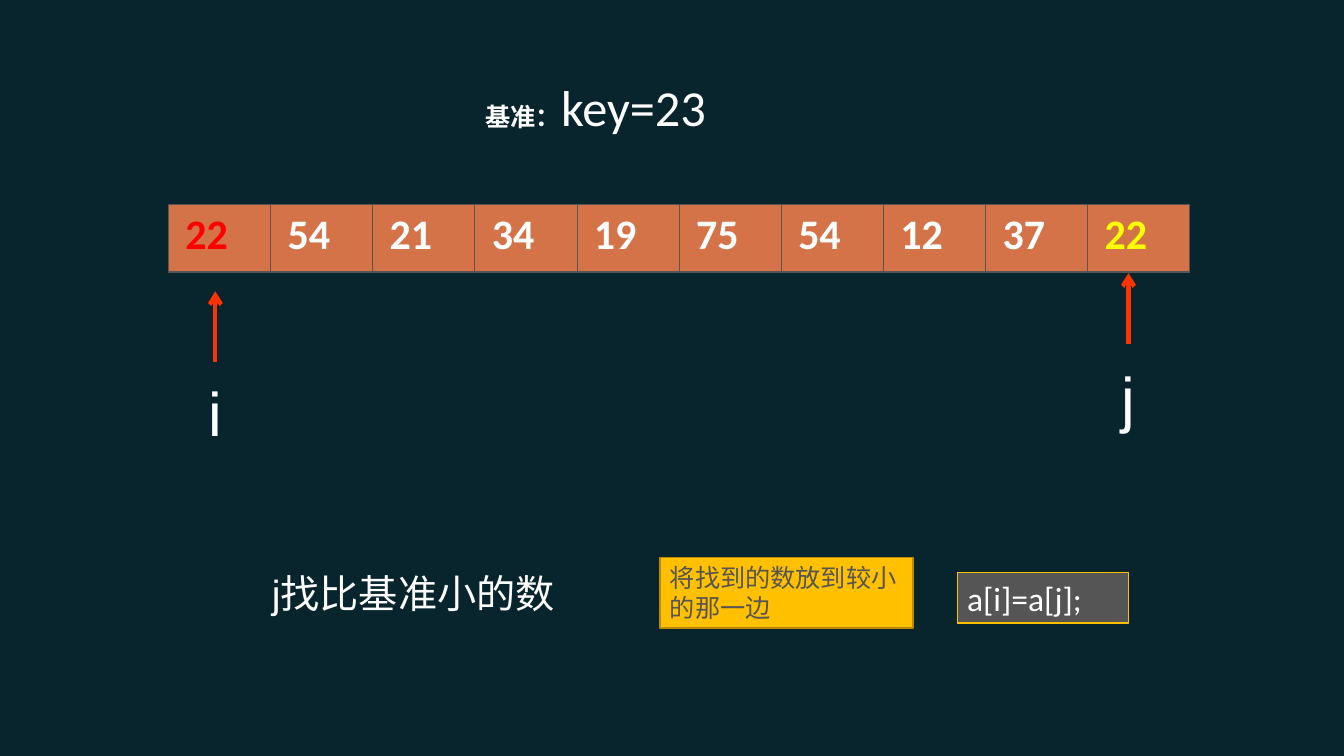
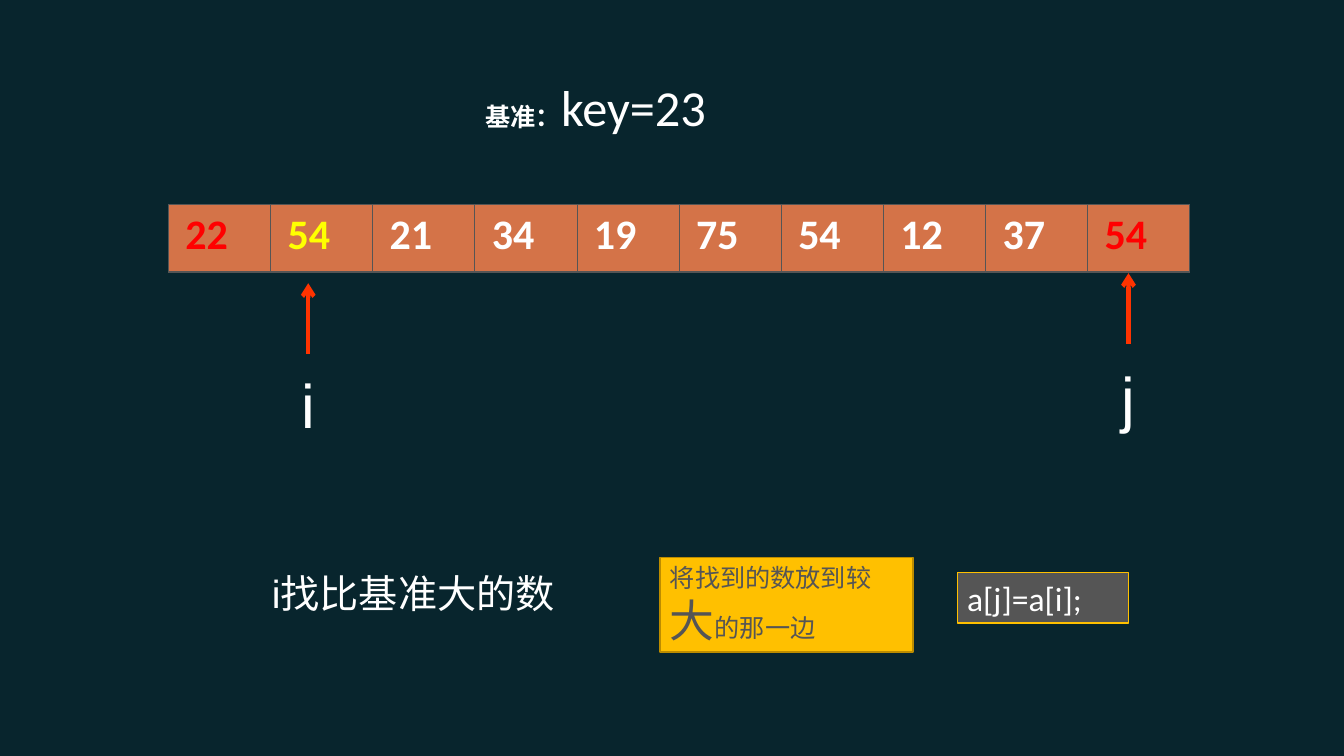
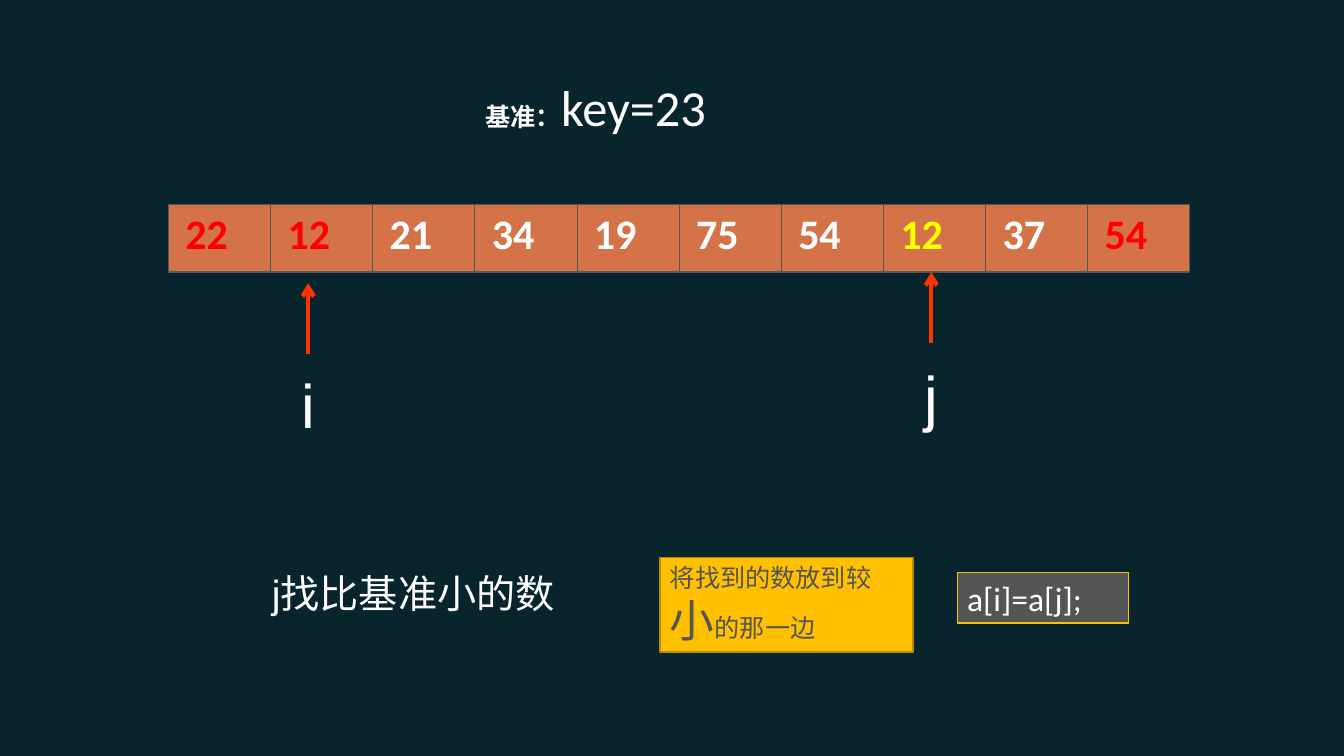
import collections
import pptx
import pptx.dml.color
import pptx.enum.shapes
import pptx.enum.text
import pptx.oxml
import pptx.oxml.ns
import pptx.util

COLORS = {
    "background": "08252D", "cell": "D47348", "grey": "555555", "white": "FFFFFF",
    "done": "FF0000", "current": "FFFF00", "arrow": "FF3300",
    "amber": "FFC000", "amber_edge": "BC8C00",
}
SLIDE_WIDTH, SLIDE_HEIGHT = pptx.util.Inches(13.34), pptx.util.Inches(7.5)
COLUMN, ROW = SLIDE_WIDTH / 40, SLIDE_HEIGHT / 30
CJK_FONT = "Noto Sans CJK SC"

Box = collections.namedtuple("Box", "left top width height")
TITLE = Box(14.15, 2.8, 10.94, 2.8)
ARRAY = Box(5.01, 8.12, 30.4, 2.68)
HINT = Box(7.8, 22.4, 9.84, 2.28)
NOTE = Box(19.64, 22.12, 7.53, 2.8)
TALL_NOTE = NOTE._replace(height=3.76)
CODE = Box(28.49, 22.72, 5.1, 2)
ARROW_LENGTH = 2.8

STYLES = {
    "title": {"size": 36, "name": "Calibri", "bold": False, "color": "white"},
    "title_label": {"size": 18, "name": CJK_FONT, "bold": True, "color": "white"},
    "cell": {"size": 30, "name": "Calibri", "bold": True, "color": "white"},
    "pointer": {"size": 44, "name": "Arial", "color": "white"},
    "hint": {"size": 28, "name": "Arial", "color": "white"},
    "note": {"size": 18, "name": "Calibri", "color": "grey"},
    "note_large": {"size": 32, "name": "Calibri", "color": "grey"},
    "code": {"size": 24, "name": "Calibri", "color": "white"},
}
BORDERS = {"lnL": 0.45, "lnR": 0.45, "lnT": 0.45, "lnB": 1.47}

Pointer = collections.namedtuple("Pointer", "name column gap label_gap")
I_START = Pointer("i", 0.46, 0.76, 0.32)
I_SECOND = Pointer("i", 1.37, 0.44, 0.32)
J_END = Pointer("j", 9.4, 0.04, 0.44)
J_EIGHTH = Pointer("j", 7.47, 0, 0.44)

STEPS = [
    {
        "values": [22, 54, 21, 34, 19, 75, 54, 12, 37, 22],
        "marks": {0: "done", 9: "current"},
        "pointers": [I_START, J_END],
        "hint": "j找比基准小的数",
        "note": [("将找到的数放到较小的那一边", "note")],
        "note_box": NOTE,
        "code": "a[i]=a[j];",
    },
    {
        "values": [22, 54, 21, 34, 19, 75, 54, 12, 37, 54],
        "marks": {0: "done", 1: "current", 9: "done"},
        "pointers": [I_SECOND, J_END],
        "hint": "i找比基准大的数",
        "note": [("将找到的数放到较", "note"), ("大", "note_large"), ("的那一边", "note")],
        "note_box": TALL_NOTE,
        "code": "a[j]=a[i];",
    },
    {
        "values": [22, 12, 21, 34, 19, 75, 54, 12, 37, 54],
        "marks": {0: "done", 1: "done", 7: "current", 9: "done"},
        "pointers": [I_SECOND, J_EIGHTH],
        "hint": "j找比基准小的数",
        "note": [("将找到的数放到较", "note"), ("小", "note_large"), ("的那一边", "note")],
        "note_box": TALL_NOTE,
        "code": "a[i]=a[j];",
    },
]


def rgb(name):
    """Return the named palette colour."""
    return pptx.dml.color.RGBColor.from_string(COLORS[name])


def place(box):
    """Convert a box on the slide grid to lengths."""
    return (round(box.left * COLUMN), round(box.top * ROW),
            round(box.width * COLUMN), round(box.height * ROW))


def write(frame, runs, align="LEFT", anchor="TOP", wrap=True):
    """Fill a text frame with one paragraph of styled runs."""
    settings = {
        "word_wrap": wrap,
        "auto_size": pptx.enum.text.MSO_AUTO_SIZE.NONE,
        "vertical_anchor": pptx.enum.text.MSO_ANCHOR[anchor],
    }
    for attribute, value in settings.items():
        setattr(frame, attribute, value)
    write_runs(frame.paragraphs[0], runs, align)


def write_runs(paragraph, runs, align="LEFT", color=None):
    """Add styled runs to a paragraph."""
    paragraph.alignment = pptx.enum.text.PP_ALIGN[align]
    for text, style_name in runs:
        style = dict(STYLES[style_name])
        run = paragraph.add_run()
        run.text = text
        run.font.color.rgb = rgb(color or style["color"])
        del style["color"]
        style["size"] = pptx.util.Pt(style["size"])
        for attribute, value in style.items():
            setattr(run.font, attribute, value)
        east_asian = pptx.oxml.parse_xml(
            f'<a:ea {pptx.oxml.ns.nsdecls("a")} typeface="{CJK_FONT}"/>')
        run.font._element.find(pptx.oxml.ns.qn("a:latin")).addnext(east_asian)


def add_text(slide, box, runs, **options):
    """Add a plain text box."""
    shape = slide.shapes.add_textbox(*place(box))
    write(shape.text_frame, runs, **options)


def add_panel(slide, box, runs, fill, line):
    """Add a filled rectangle with text."""
    shape = slide.shapes.add_shape(pptx.enum.shapes.MSO_SHAPE.RECTANGLE, *place(box))
    shape.shadow.inherit = False
    shape.fill.solid()
    shape.fill.fore_color.rgb = rgb(fill)
    shape.line.color.rgb = rgb(line)
    shape.line.width = pptx.util.Pt(1)
    write(shape.text_frame, runs, anchor="MIDDLE")


def add_title(slide, box):
    """Place the pivot key in the title placeholder."""
    title = slide.shapes.title
    title.left, title.top, title.width, title.height = place(box)
    write(title.text_frame, [("基准：", "title_label"), ("key=23", "title")])


def format_cell(cell):
    """Set the borders, fill and margins of an array cell."""
    properties = cell._tc.get_or_add_tcPr()
    for side, points in BORDERS.items():
        properties.append(pptx.oxml.parse_xml(
            f'<a:{side} {pptx.oxml.ns.nsdecls("a")} w="{pptx.util.Pt(points)}">'
            f'<a:solidFill><a:srgbClr val="{COLORS["grey"]}"/></a:solidFill></a:{side}>'))
    cell.fill.solid()
    cell.fill.fore_color.rgb = rgb("cell")
    cell.margin_left = cell.margin_right = pptx.util.Inches(0.17)


def add_array(slide, box, values, marks):
    """Draw the array as a one-row table with marked values."""
    table = slide.shapes.add_table(1, len(values), *place(box)).table
    table.first_row = table.horz_banding = False
    for index, value in enumerate(values):
        cell = table.cell(0, index)
        format_cell(cell)
        write_runs(cell.text_frame.paragraphs[0], [(str(value), "cell")],
                   color=marks.get(index))


def add_pointer(slide, array, count, pointer):
    """Draw an index arrow and its letter below the array."""
    center = array.left + pointer.column * array.width / count
    tip = array.top + array.height + pointer.gap
    base = tip + ARROW_LENGTH
    x = round(center * COLUMN)
    arrow = slide.shapes.add_connector(
        pptx.enum.shapes.MSO_CONNECTOR.STRAIGHT, x, round(base * ROW), x, round(tip * ROW))
    arrow.line.color.rgb = rgb("arrow")
    arrow.line.width = pptx.util.Pt(3)
    namespace = pptx.oxml.ns.nsdecls("a")
    arrow.line._get_or_add_ln().append(
        pptx.oxml.parse_xml(f'<a:tailEnd {namespace} type="arrow"/>'))
    arrow._element.spPr.append(pptx.oxml.parse_xml(f'<a:effectLst {namespace}/>'))
    label = Box(center - 0.47, base + pointer.label_gap, 0.94, 3.36)
    add_text(slide, label, [(pointer.name, "pointer")], align="CENTER", wrap=False)


def add_step(presentation, step):
    """Build the slide for one step of the partition."""
    slide = presentation.slides.add_slide(
        presentation.slide_layouts.get_by_name("Title Only"))
    add_title(slide, TITLE)
    add_array(slide, ARRAY, step["values"], step["marks"])
    for pointer in step["pointers"]:
        add_pointer(slide, ARRAY, len(step["values"]), pointer)
    add_text(slide, HINT, [(step["hint"], "hint")])
    add_panel(slide, step["note_box"], step["note"], "amber", "amber_edge")
    add_panel(slide, CODE, [(step["code"], "code")], "grey", "amber")


def main():
    """Build and save the presentation."""
    presentation = pptx.Presentation()
    presentation.slide_width, presentation.slide_height = SLIDE_WIDTH, SLIDE_HEIGHT
    background = presentation.slide_master.background.fill
    background.solid()
    background.fore_color.rgb = rgb("background")
    for step in STEPS:
        add_step(presentation, step)
    presentation.save("out.pptx")


if __name__ == "__main__":
    main()
